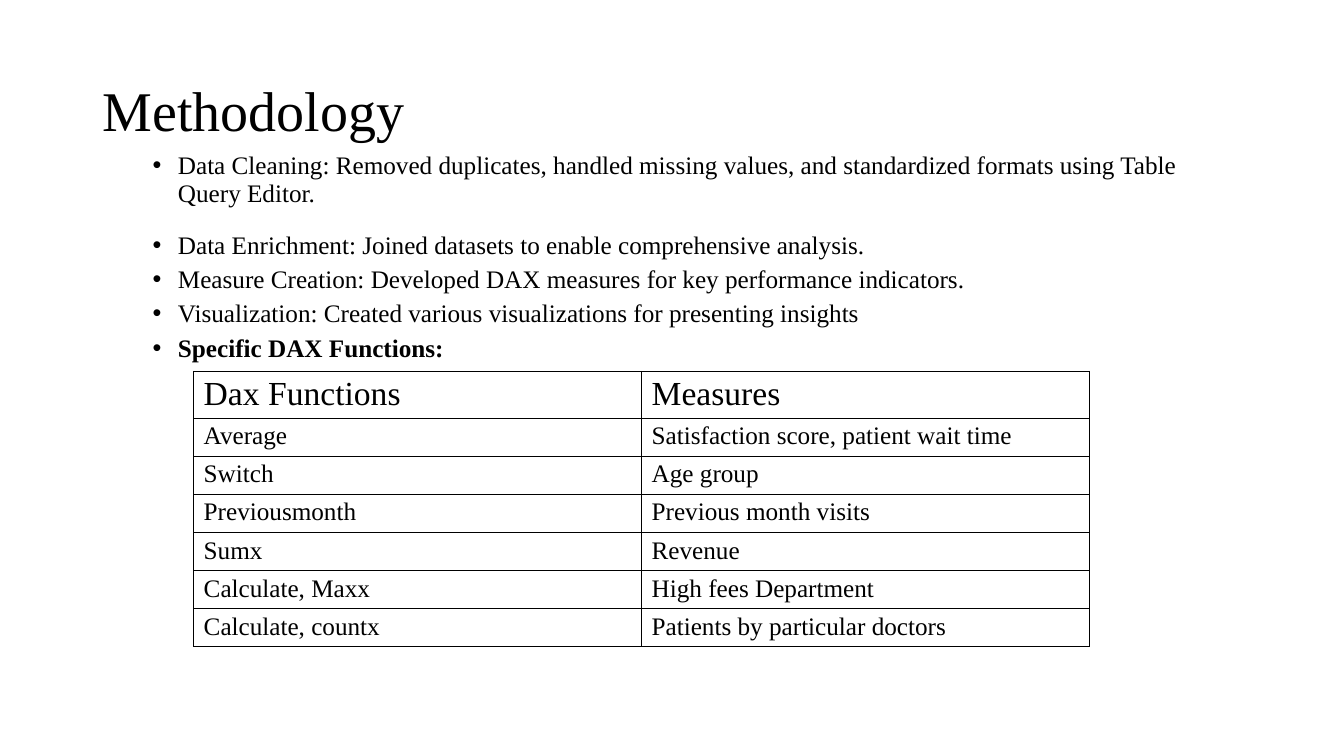
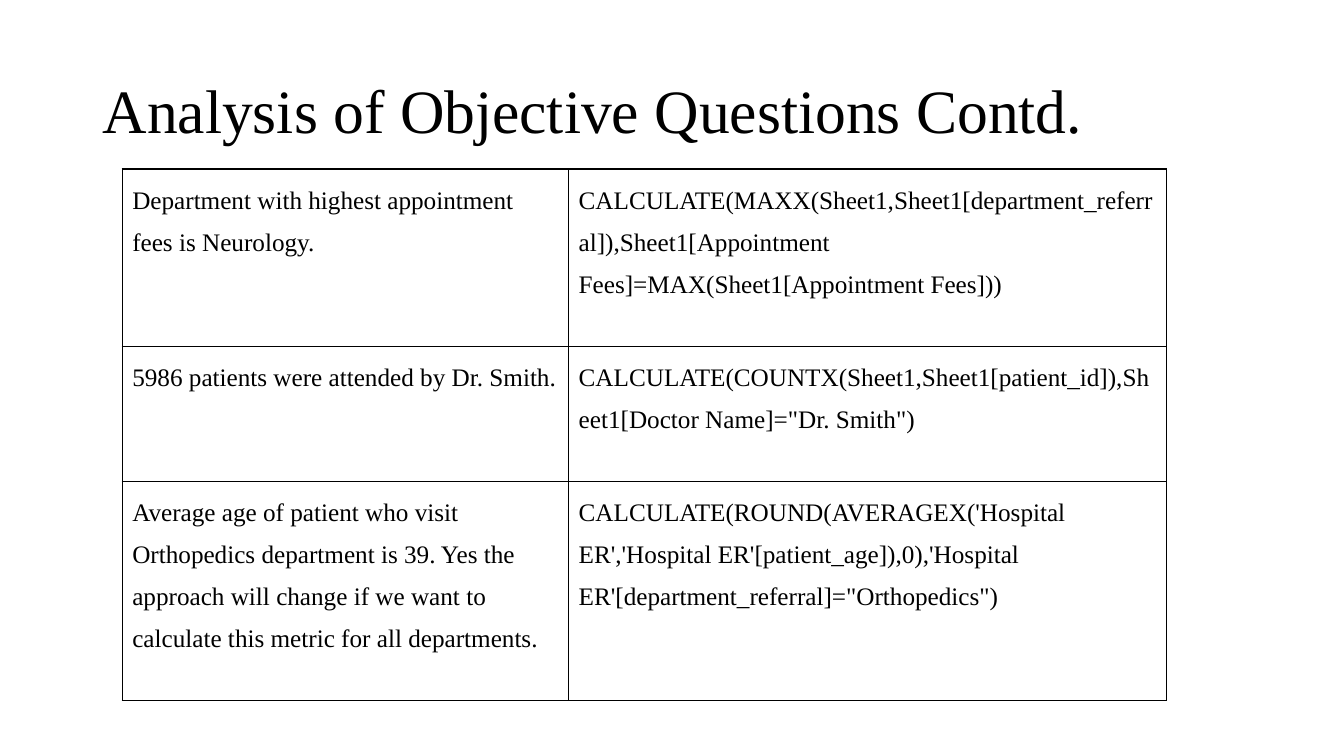
from dataclasses import dataclass

import lxml.etree
import pptx
import pptx.dml.color
import pptx.enum.text
import pptx.oxml.ns
import pptx.presentation
import pptx.shapes.autoshape
import pptx.slide
import pptx.table
import pptx.text.text
import pptx.util

Cm = pptx.util.Cm
Pt = pptx.util.Pt
qn = pptx.oxml.ns.qn

COLORS = {"text": "000000", "border": "000000", "background": "FFFFFF"}
FONT_NAME = "Times New Roman"
BODY_SIZE = 18
LAYOUT_TITLE_AND_CONTENT = 1
LAYOUT_TITLE_ONLY = 5


@dataclass(frozen=True)
class Box:
    left: float
    top: float
    width: float
    height: float


@dataclass(frozen=True)
class Bullet:
    text: str
    line_spacing: float = 0.9
    bold: bool = False


@dataclass(frozen=True)
class Row:
    cells: tuple[str, ...]
    height: float = 0.96
    size: int = BODY_SIZE


@dataclass(frozen=True)
class Grid:
    left: float
    top: float
    column_widths: tuple[float, ...]
    rows: tuple[Row, ...]
    line_spacing: float = 1.0


TITLE_BOX = Box(2.33, 1.01, 29.21, 3.68)
BODY_BOX = Box(2.33, 3.73, 29.21, 13.41)

BULLETS = (
    Bullet(
        "Data Cleaning: Removed duplicates, handled missing values, and "
        "standardized formats using Table Query Editor."
    ),
    Bullet("Data Enrichment: Joined datasets to enable comprehensive analysis.", 1.5),
    Bullet("Measure Creation: Developed DAX measures for key performance indicators."),
    Bullet("Visualization: Created various visualizations for presenting insights"),
    Bullet("Specific DAX Functions:", bold=True),
)

FUNCTIONS_GRID = Grid(
    4.88,
    9.36,
    (11.29, 11.29),
    (
        Row(("Dax Functions", "Measures"), 1.18, 24),
        Row(("Average", "Satisfaction score, patient wait time")),
        Row(("Switch", "Age group")),
        Row(("Previousmonth", "Previous month visits")),
        Row(("Sumx", "Revenue")),
        Row(("Calculate, Maxx", "High fees Department")),
        Row(("Calculate, countx", "Patients by particular doctors")),
    ),
)

ANALYSIS_GRID = Grid(
    3.08,
    4.26,
    (11.25, 15.06),
    (
        Row(
            (
                "Department with highest appointment fees is Neurology.",
                "CALCULATE(MAXX(Sheet1,Sheet1[department_referral]),"
                "Sheet1[Appointment Fees]=MAX(Sheet1[Appointment Fees]))",
            ),
            4.47,
        ),
        Row(
            (
                "5986 patients were attended by Dr. Smith.",
                "CALCULATE(COUNTX(Sheet1,Sheet1[patient_id]),"
                'Sheet1[Doctor Name]="Dr. Smith")',
            ),
            3.4,
        ),
        Row(
            (
                "Average age of patient who visit Orthopedics department is 39. "
                "Yes the approach will change if we want to calculate this metric "
                "for all departments.",
                "CALCULATE(ROUND(AVERAGEX('Hospital ER','Hospital ER'[patient_age]),0),"
                "'Hospital ER'[department_referral]=\"Orthopedics\")",
            ),
            5.52,
        ),
    ),
    1.5,
)


def style_paragraph(
    paragraph: pptx.text.text._Paragraph,
    size: int,
    line_spacing: float,
    bold: bool = False,
) -> None:
    paragraph.alignment = pptx.enum.text.PP_ALIGN.LEFT
    paragraph.line_spacing = line_spacing
    paragraph.font.name = FONT_NAME
    paragraph.font.size = Pt(size)
    paragraph.font.bold = bold
    paragraph.font.color.rgb = pptx.dml.color.RGBColor.from_string(COLORS["text"])


def place(shape: pptx.shapes.autoshape.Shape, box: Box) -> None:
    shape.left, shape.top = Cm(box.left), Cm(box.top)
    shape.width, shape.height = Cm(box.width), Cm(box.height)
    shape.text_frame.word_wrap = True
    shape.text_frame.auto_size = pptx.enum.text.MSO_AUTO_SIZE.NONE


def add_titled_slide(
    presentation: pptx.presentation.Presentation,
    layout_index: int,
    title: str,
    size: int,
) -> pptx.slide.Slide:
    slide = presentation.slides.add_slide(presentation.slide_layouts[layout_index])
    shape = slide.shapes.title
    place(shape, TITLE_BOX)
    shape.text_frame.vertical_anchor = pptx.enum.text.MSO_ANCHOR.MIDDLE
    shape.text_frame.text = title
    style_paragraph(shape.text_frame.paragraphs[0], size, 0.9)
    return slide


def add_bullet_mark(paragraph: pptx.text.text._Paragraph) -> None:
    properties = paragraph._p.get_or_add_pPr()
    properties.set("marL", str(Cm(1.9)))
    properties.set("indent", str(-Cm(0.64)))
    lxml.etree.SubElement(properties, qn("a:buFont"), typeface="Arial")
    lxml.etree.SubElement(properties, qn("a:buChar"), char="•")


def fill_body(slide: pptx.slide.Slide, bullets: tuple[Bullet, ...]) -> None:
    shape = slide.placeholders[1]
    place(shape, BODY_BOX)
    frame = shape.text_frame
    for index, bullet in enumerate(bullets):
        paragraph = frame.add_paragraph() if index else frame.paragraphs[0]
        paragraph.text = bullet.text
        paragraph.level = 1
        add_bullet_mark(paragraph)
        paragraph.space_before = Pt(5 if index else 0)
        style_paragraph(paragraph, BODY_SIZE, bullet.line_spacing, bullet.bold)


def add_borders(cell: pptx.table._Cell) -> None:
    properties = cell._tc.get_or_add_tcPr()
    for side in ("L", "R", "T", "B"):
        line = lxml.etree.SubElement(properties, qn(f"a:ln{side}"), w=str(Pt(1)))
        fill = lxml.etree.SubElement(line, qn("a:solidFill"))
        lxml.etree.SubElement(fill, qn("a:srgbClr"), val=COLORS["border"])


def add_grid(slide: pptx.slide.Slide, grid: Grid) -> None:
    table = slide.shapes.add_table(
        len(grid.rows),
        len(grid.column_widths),
        Cm(grid.left),
        Cm(grid.top),
        Cm(sum(grid.column_widths)),
        Cm(sum(row.height for row in grid.rows)),
    ).table
    table.first_row = False
    table.horz_banding = False
    for column, width in zip(table.columns, grid.column_widths):
        column.width = Cm(width)
    for row_index, row in enumerate(grid.rows):
        table.rows[row_index].height = Cm(row.height)
        for column_index, text in enumerate(row.cells):
            cell = table.cell(row_index, column_index)
            cell.margin_top = cell.margin_bottom = Cm(0.1)
            add_borders(cell)
            cell.fill.solid()
            cell.fill.fore_color.rgb = pptx.dml.color.RGBColor.from_string(
                COLORS["background"]
            )
            cell.text_frame.text = text
            style_paragraph(cell.text_frame.paragraphs[0], row.size, grid.line_spacing)


def main() -> None:
    presentation = pptx.Presentation()
    presentation.slide_width = Cm(33.87)
    presentation.slide_height = Cm(19.05)

    methodology = add_titled_slide(
        presentation, LAYOUT_TITLE_AND_CONTENT, "Methodology", 40
    )
    fill_body(methodology, BULLETS)
    add_grid(methodology, FUNCTIONS_GRID)

    analysis = add_titled_slide(
        presentation, LAYOUT_TITLE_ONLY, "Analysis of Objective Questions Contd.", 44
    )
    add_grid(analysis, ANALYSIS_GRID)

    presentation.save("out.pptx")


if __name__ == "__main__":
    main()
